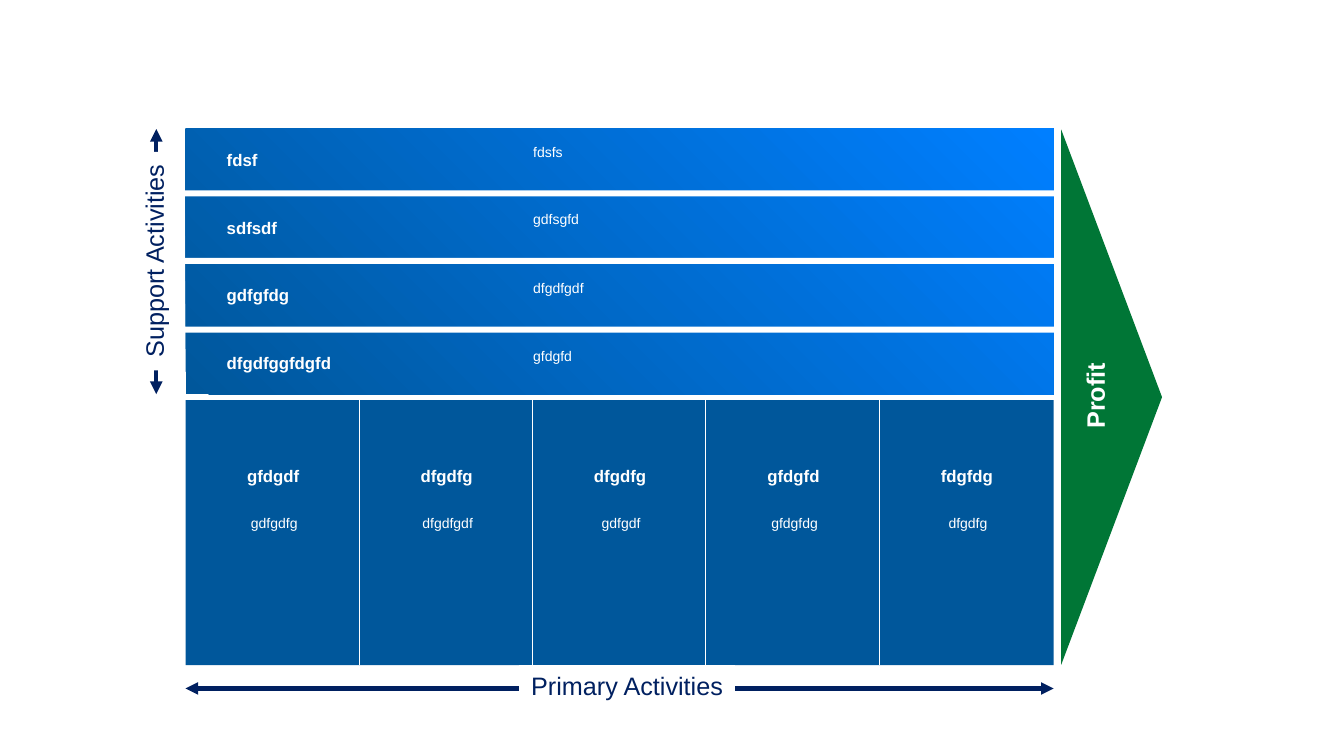
from lxml import etree
from pptx import Presentation
from pptx.dml.color import RGBColor
from pptx.enum.shapes import MSO_CONNECTOR as LINE, MSO_SHAPE as SHAPE
from pptx.enum.text import MSO_AUTO_SIZE as FIT, PP_ALIGN as ALIGN
from pptx.oxml.ns import qn
from pptx.util import Emu, Pt

PX = 9144  # EMU, 100 px to the inch

WHITE = RGBColor(0xFF, 0xFF, 0xFF)
NAVY = RGBColor(0x00, 0x20, 0x60)
DEEP_BLUE = RGBColor(0x00, 0x57, 0x9B)
BRIGHT_BLUE = RGBColor(0x00, 0x7F, 0xFF)
GREEN = RGBColor(0x00, 0x76, 0x36)

HEADING = {"size": Pt(12), "bold": True}
DETAIL = {"size": Pt(10)}
AXIS = {"size": Pt(18), "color": NAVY}
MARGIN = {"size": Pt(18), "bold": True}

SUPPORT = [("fdsf", "fdsfs"), ("sdfsdf", "gdfsgfd"),
           ("gdfgfdg", "dfgdfgdf"), ("dfgdfggfdgfd", "gfdgfd")]
PRIMARY = [("gfdgdf", "gdfgdfg"), ("dfgdfg", "dfgdfgdf"), ("dfgdfg", "gdfgdf"),
           ("gfdgfd", "gfdgfdg"), ("fdgfdg", "dfgdfg")]

LEFT, WIDTH = 184, 861
SUPPORT_TOP, PRIMARY_TOP, BLOCK_H = 128, 397, 263
ROW_PITCH, COL_W = 67.5, 172


def px(*lengths):
    return [Emu(round(n) * PX) for n in lengths]


class Canvas:
    font_name = "Arial"

    def __init__(self, slide):
        self.shapes = slide.shapes

    def line(self, x1, y1, x2, y2, color, width, arrows=False):
        sp = self.shapes.add_connector(LINE.STRAIGHT, *px(x1, y1, x2, y2))
        sp.line.color.rgb = color
        sp.line.width = Pt(width)
        if arrows:
            ln = sp.line._get_or_add_ln()
            for end in ("a:headEnd", "a:tailEnd"):
                etree.SubElement(ln, qn(end), type="triangle")
        etree.SubElement(sp._element.spPr, qn("a:effectLst"))

    def shape(self, kind, x, y, w, h, color, rotation=0):
        sp = self.shapes.add_shape(kind, *px(x, y, w, h))
        sp.shadow.inherit = False
        sp.fill.solid()
        sp.fill.fore_color.rgb = color
        sp.line.fill.background()
        sp.rotation = rotation
        return sp

    def gradient(self, x, y, w, h, start, end, angle):
        sp = self.shape(SHAPE.RECTANGLE, x, y, w, h, start)
        sp.fill.gradient()
        sp.fill.gradient_angle = angle
        for stop, color in zip(sp.fill.gradient_stops, (start, end)):
            stop.color.rgb = color

    def text(self, text, x, y, w, h, style, align=ALIGN.LEFT, rotation=0):
        sp = self.shapes.add_textbox(*px(x, y, w, h))
        sp.rotation = rotation
        self.set_text(sp, text, style, align, wrap=not rotation)

    def axis_label(self, text, x, y, w, h, rotation=0):
        """White plate that interrupts the arrow behind it."""
        sp = self.shape(SHAPE.RECTANGLE, x, y, w, h, WHITE, rotation)
        self.set_text(sp, text, AXIS, ALIGN.CENTER, wrap=False)

    def set_text(self, sp, text, style, align, wrap):
        tf = sp.text_frame
        tf.word_wrap = wrap
        tf.auto_size = FIT.SHAPE_TO_FIT_TEXT
        p = tf.paragraphs[0]
        p.alignment = align
        r = p.add_run()
        r.text = text
        values = {"name": self.font_name, "color": WHITE, **style}
        r.font.color.rgb = values.pop("color")
        for name, value in values.items():
            setattr(r.font, name, value)


def draw_blocks(s):
    s.line(155, SUPPORT_TOP, 155, SUPPORT_TOP + BLOCK_H, NAVY, 3, arrows=True)
    s.line(LEFT, 683, LEFT + WIDTH, 683, NAVY, 3, arrows=True)
    s.gradient(LEFT, SUPPORT_TOP, WIDTH, BLOCK_H, DEEP_BLUE, BRIGHT_BLUE, 45)
    for i in range(len(SUPPORT) - 1):
        s.shape(SHAPE.RECTANGLE, 149, 189 + i * ROW_PITCH, 898, 6, WHITE)
    s.shape(SHAPE.RECTANGLE, LEFT, PRIMARY_TOP, WIDTH, BLOCK_H, DEEP_BLUE)
    for i in range(1, len(PRIMARY)):
        x = LEFT + i * COL_W
        s.line(x, PRIMARY_TOP, x, PRIMARY_TOP + BLOCK_H, WHITE, 0.5)
    s.shape(SHAPE.ISOSCELES_TRIANGLE, 837, 344, 531, 100, GREEN, rotation=90)


def draw_labels(s):
    for i, (heading, detail) in enumerate(SUPPORT):
        s.text(heading, 215, 144 + i * 67, 275, 30, HEADING)
        s.text(detail, 519, 137 + i * ROW_PITCH, 479, 27, DETAIL)
    for i, (heading, detail) in enumerate(PRIMARY):
        x = LEFT + i * COL_W
        s.text(heading, x + 1, 457, COL_W, 30, HEADING, ALIGN.CENTER)
        s.text(detail, x + 2, 506, COL_W, 27, DETAIL, ALIGN.CENTER)
    s.axis_label("Primary Activities", 515, 660, 214, 40)
    s.axis_label("Support Activities", 44, 239, 217, 40, rotation=270)
    s.text("Profit", 1043, 372, 86, 40, MARGIN, rotation=270)


def main():
    prs = Presentation()
    prs.slide_width, prs.slide_height = px(1333, 750)
    s = Canvas(prs.slides.add_slide(prs.slide_layouts[6]))
    draw_blocks(s)
    draw_labels(s)
    prs.save("out.pptx")


if __name__ == "__main__":
    main()
